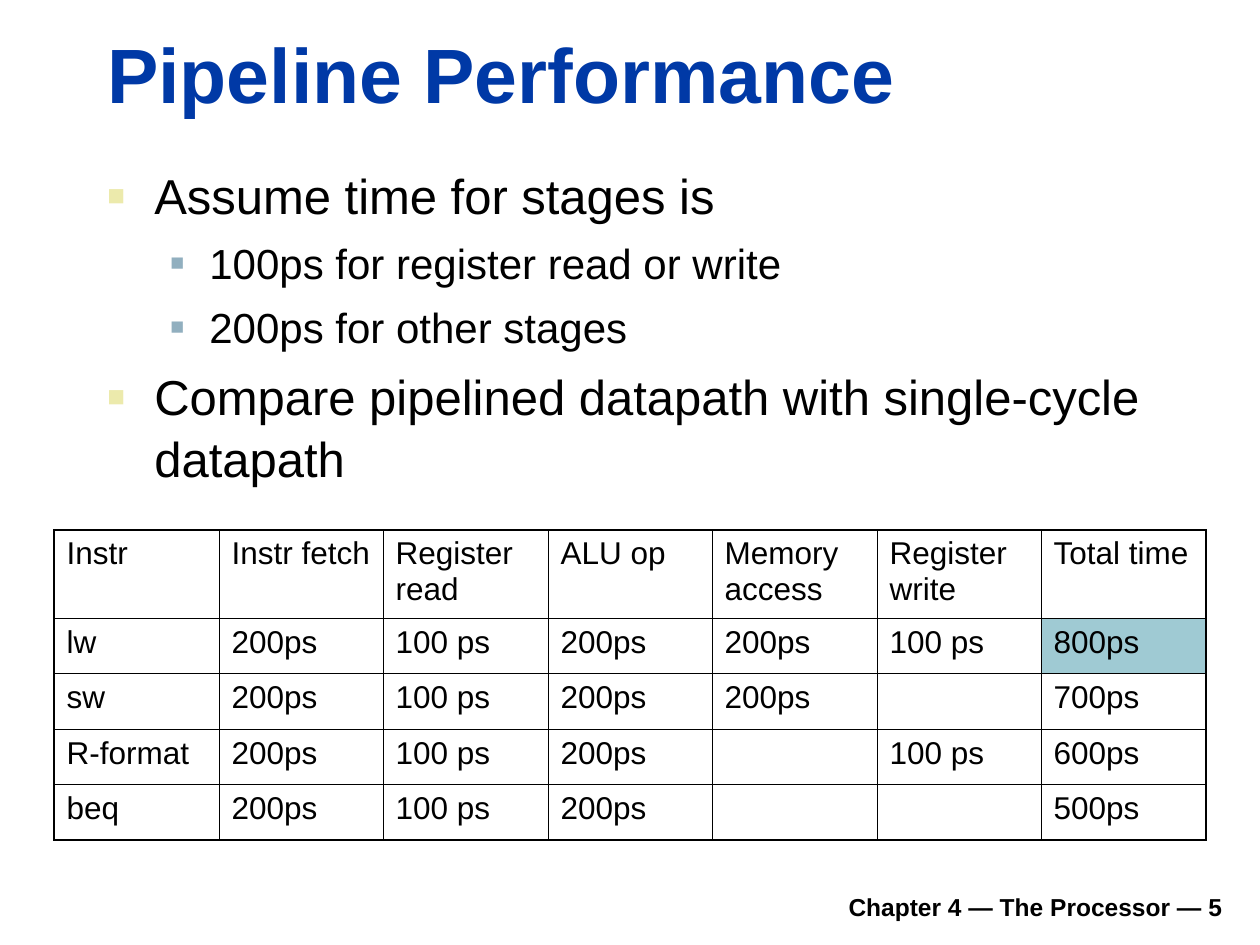
from lxml.etree import SubElement
from pptx import Presentation
from pptx.dml.color import RGBColor
from pptx.enum.text import MSO_ANCHOR as Anchor, PP_ALIGN as Align
from pptx.oxml.ns import qn
from pptx.util import Emu, Pt

EMU_PER_PX = 914400 / 126
COLORS = {"text": "000000", "title": "0039A6", "bullet": "ECEAAC",
          "sub_bullet": "91AFBF", "highlight": "9FCAD3"}
# Per level: bullet color and size, left margin and hanging indent in px
LEVELS = [
    {"color": "bullet", "percent": 60, "left": 47, "hang": 47,
     "size": 28, "before": 7},
    {"color": "sub_bullet", "percent": 55, "left": 102, "hang": 39,
     "size": 24, "before": 6},
]
BULLETS = [
    (0, "Assume time for stages is"),
    (1, "100ps for register read or write"),
    (1, "200ps for other stages"),
    (0, "Compare pipelined datapath with single-cycle datapath"),
]
TIMES = [
    ["Instr", "Instr fetch", "Register read", "ALU op", "Memory access",
     "Register write", "Total time"],
    ["lw", "200ps", "100 ps", "200ps", "200ps", "100 ps", "800ps"],
    ["sw", "200ps", "100 ps", "200ps", "200ps", "", "700ps"],
    ["R-format", "200ps", "100 ps", "200ps", "", "100 ps", "600ps"],
    ["beq", "200ps", "100 ps", "200ps", "", "", "500ps"],
]
OUTER, HEADER_RULE, INNER = 1.08, 0.75, 0.45


def px(value):
    return Emu(round(value * EMU_PER_PX))


class SlideBuilder:
    font_name = "Arial"

    def __init__(self, slide):
        self.slide = slide

    def add_text(self, paragraph, text, size, color="text", bold=False):
        font_format = {"name": self.font_name, "size": Pt(size), "bold": bold}
        run = paragraph.add_run()
        run.text = text
        for name, value in font_format.items():
            setattr(run.font, name, value)
        run.font.color.rgb = RGBColor.from_string(COLORS[color])

    def frame(self, box, **frame_format):
        text_frame = self.slide.shapes.add_textbox(*map(px, box)).text_frame
        for name, value in {"word_wrap": True, **frame_format}.items():
            setattr(text_frame, name, value)
        return text_frame

    def label(self, box, text, size, color="text", align=Align.LEFT):
        paragraph = self.frame(box, vertical_anchor=Anchor.BOTTOM).paragraphs[0]
        paragraph.alignment = align
        self.add_text(paragraph, text, size, color, bold=True)

    def bullet(self, paragraph, level):
        properties = paragraph._p.get_or_add_pPr()
        properties.set("marL", str(px(level["left"])))
        properties.set("indent", str(-px(level["hang"])))
        color = SubElement(properties, qn("a:buClr"))
        SubElement(color, qn("a:srgbClr"), val=COLORS[level["color"]])
        SubElement(properties, qn("a:buSzPct"), val=str(level["percent"] * 1000))
        SubElement(properties, qn("a:buFont"), typeface=self.font_name)
        SubElement(properties, qn("a:buChar"), char="■")

    def bullet_list(self, box, items):
        text_frame = self.frame(box, margin_top=px(8))
        for index, (depth, text) in enumerate(items):
            level = LEVELS[depth]
            paragraph = (text_frame.add_paragraph() if index
                         else text_frame.paragraphs[0])
            self.bullet(paragraph, level)
            paragraph.level = depth
            paragraph.line_spacing = 1.05
            paragraph.space_before = Pt(level["before"] if index else 0)
            self.add_text(paragraph, text, level["size"])

    def border(self, cell, side, width):
        line = SubElement(cell._tc.get_or_add_tcPr(), qn(f"a:ln{side}"),
                          w=str(Pt(width)))
        fill = SubElement(line, qn("a:solidFill"))
        SubElement(fill, qn("a:srgbClr"), val=COLORS["text"])

    def table(self, left, top, widths, heights, rows, highlighted):
        box = map(px, (left, top, sum(widths), sum(heights)))
        table = self.slide.shapes.add_table(len(rows), len(widths), *box).table
        table.first_row = table.horz_banding = False
        for column, width in zip(table.columns, widths):
            column.width = px(width)
        for row, height in zip(table.rows, heights):
            row.height = px(height)
        # Line widths across each row edge and column edge
        across = [OUTER, HEADER_RULE] + [INNER] * (len(rows) - 2) + [OUTER]
        down = [OUTER] + [INNER] * (len(widths) - 1) + [OUTER]
        for r, texts in enumerate(rows):
            for c, text in enumerate(texts):
                cell = table.cell(r, c)
                sides = {"L": down[c], "R": down[c + 1],
                         "T": across[r], "B": across[r + 1]}
                for side, width in sides.items():
                    self.border(cell, side, width)
                if (r, c) == highlighted:
                    cell.fill.solid()
                    cell.fill.fore_color.rgb = RGBColor.from_string(
                        COLORS["highlight"])
                else:
                    cell.fill.background()
                if text:
                    self.add_text(cell.text_frame.paragraphs[0], text, 18)


def main():
    presentation = Presentation()
    presentation.slide_width, presentation.slide_height = px(1260), px(945)
    slide = presentation.slides.add_slide(presentation.slide_layouts[6])
    builder = SlideBuilder(slide)

    # Footer and title
    builder.label((233, 879, 1002, 49), "Chapter 4 — The Processor — 5", 14,
                  align=Align.RIGHT)
    builder.label((95, 20, 1138, 105), "Pipeline Performance", 44, "title")

    # Assumptions
    builder.bullet_list((95, 155, 1139, 349), BULLETS)

    # Stage times per instruction
    widths = [164 if c % 2 else 165 for c in range(7)]
    builder.table(54, 530, widths, [88, 55, 56, 55, 56], TIMES, (1, 6))

    presentation.save("out.pptx")


if __name__ == "__main__":
    main()
